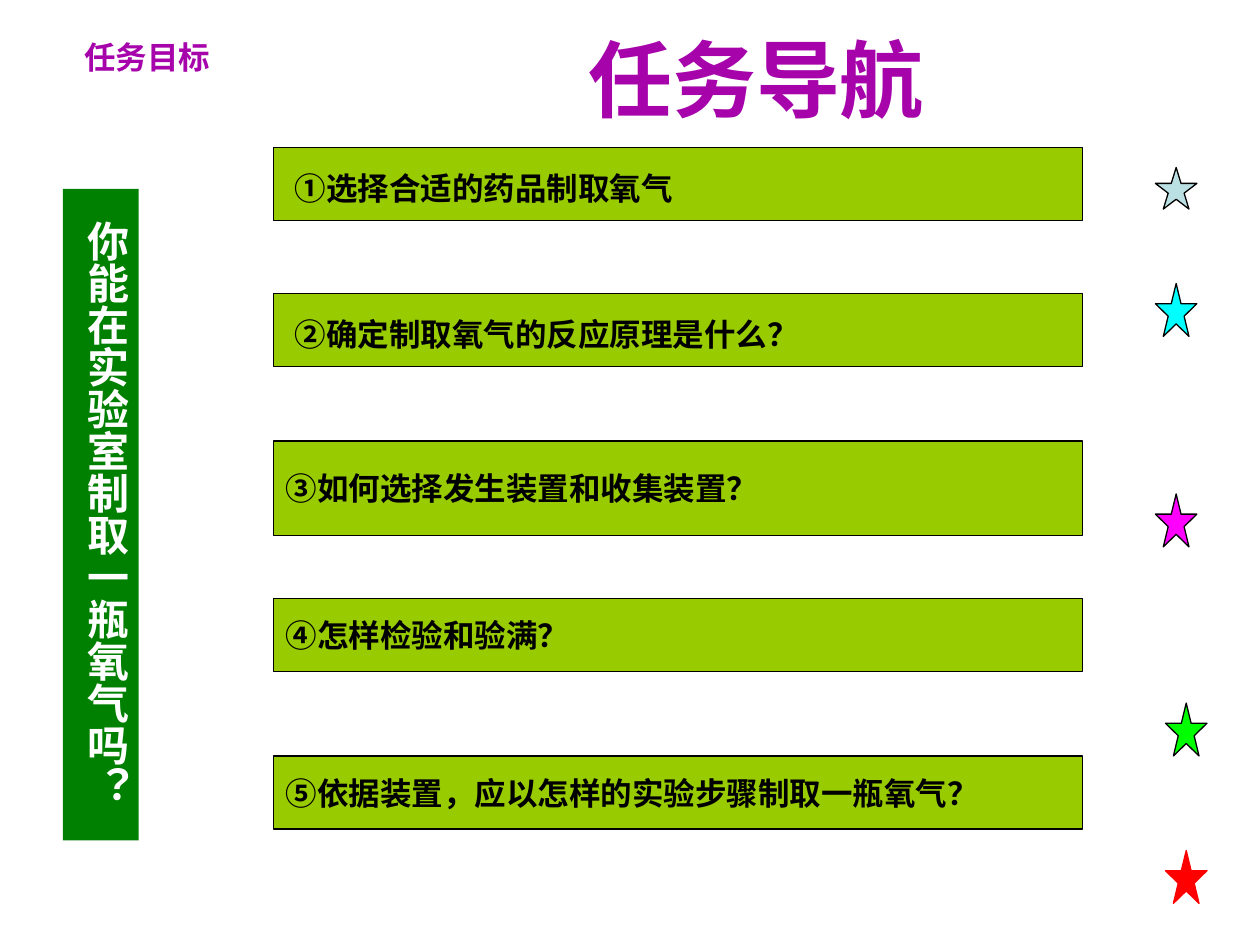
from dataclasses import dataclass

from pptx import Presentation
from pptx.dml.color import RGBColor
from pptx.enum.shapes import MSO_SHAPE as Shape
from pptx.enum.text import MSO_ANCHOR as Anchor, PP_ALIGN as Align
from pptx.oxml.ns import qn
from pptx.util import Inches, Pt


@dataclass(frozen=True)
class Theme:
    heading: str = "A603AB"
    banner: str = "008000"
    bar: str = "99CC00"
    ink: str = "000000"
    light: str = "FFFFFF"
    latin: str = "Arial"
    asian: str = "Noto Sans CJK SC"
    body_size: int = 18
    banner_size: int = 24
    title_size: int = 48
    line_width: float = 0.75


THEME = Theme()
BAR_LEFT, BAR_WIDTH = 2.17, 6.42
STAR_WIDTH = 0.33

TASKS = [
    ("①选择合适的药品制取氧气", 1.17, 0.58, True),
    ("②确定制取氧气的反应原理是什么？", 2.33, 0.58, True),
    ("③如何选择发生装置和收集装置？", 3.5, 0.75, False),
    ("④怎样检验和验满？", 4.75, 0.58, False),
    ("⑤依据装置，应以怎样的实验步骤制取一瓶氧气？", 6, 0.58, False),
]
STARS = [
    (9.17, 1.33, 0.33, "BBE0E3", THEME.ink),
    (9.17, 2.25, 0.42, "00FFFF", THEME.ink),
    (9.17, 3.92, 0.42, "FF00FF", THEME.ink),
    (9.25, 5.58, 0.42, "00FF00", THEME.ink),
    (9.25, 6.75, 0.42, "FF0000", "FF0000"),
]


def add_solid(page, kind, box, fill, line=None):
    shape = page.shapes.add_shape(kind, *map(Inches, box))
    shape.shadow.inherit = False
    shape.fill.solid()
    shape.fill.fore_color.rgb = RGBColor.from_string(fill)
    if line:
        shape.line.color.rgb = RGBColor.from_string(line)
        shape.line.width = Pt(THEME.line_width)
    else:
        shape.line.fill.background()
    return shape


def write_text(frame, text, size, color, latin, align):
    para = frame.paragraphs[0]
    para.alignment = align
    span = para.add_run()
    span.text = text
    font = span.font
    font.size, font.bold, font.name = Pt(size), True, latin
    font.color.rgb = RGBColor.from_string(color)
    asian = span._r.get_or_add_rPr().makeelement(qn("a:ea"), {"typeface": THEME.asian})
    font._rPr.find(qn("a:latin")).addnext(asian)


def add_heading(page, box, text, size):
    frame = page.shapes.add_textbox(*map(Inches, box)).text_frame
    frame.word_wrap = False
    frame.margin_left = frame.margin_right = Inches(0)
    write_text(frame, text, size, THEME.heading, THEME.asian, Align.CENTER)


def add_banner(page, box, text):
    frame = add_solid(page, Shape.RECTANGLE, box, THEME.banner).text_frame
    frame._txBody.bodyPr.set("vert", "eaVert")
    frame.word_wrap = True
    frame.vertical_anchor = Anchor.TOP
    frame.margin_left = frame.margin_right = Inches(0.05)
    frame.margin_top, frame.margin_bottom = Inches(0.25), Inches(0.1)
    write_text(frame, text, THEME.banner_size, THEME.light, THEME.latin, Align.LEFT)


def add_task(page, box, text, indented):
    frame = add_solid(page, Shape.RECTANGLE, box, THEME.bar, THEME.ink).text_frame
    frame.word_wrap = True
    frame.vertical_anchor = Anchor.MIDDLE
    frame.margin_left = Inches(0.17 if indented else 0.1)
    frame.margin_top = Inches(0.11 if indented else 0.05)
    write_text(frame, text, THEME.body_size, THEME.ink, THEME.latin, Align.LEFT)


def main():
    deck = Presentation()
    deck.slide_width, deck.slide_height = Inches(10), Inches(7.5)
    page = deck.slides.add_slide(deck.slide_layouts[6])
    add_heading(page, (0.17, 0.25, 2, 0.5), "任务目标", THEME.body_size)
    add_heading(page, (4.64, 0.17, 2.72, 0.67), "任务导航", THEME.title_size)
    add_banner(page, (0.5, 1.5, 0.6, 5.17), "你能在实验室制取一瓶氧气吗？")
    for text, top, height, indented in TASKS:
        add_task(page, (BAR_LEFT, top, BAR_WIDTH, height), text, indented)
    for left, top, height, fill, line in STARS:
        add_solid(page, Shape.STAR_5_POINT, (left, top, STAR_WIDTH, height), fill, line)
    deck.save("out.pptx")


if __name__ == "__main__":
    main()
